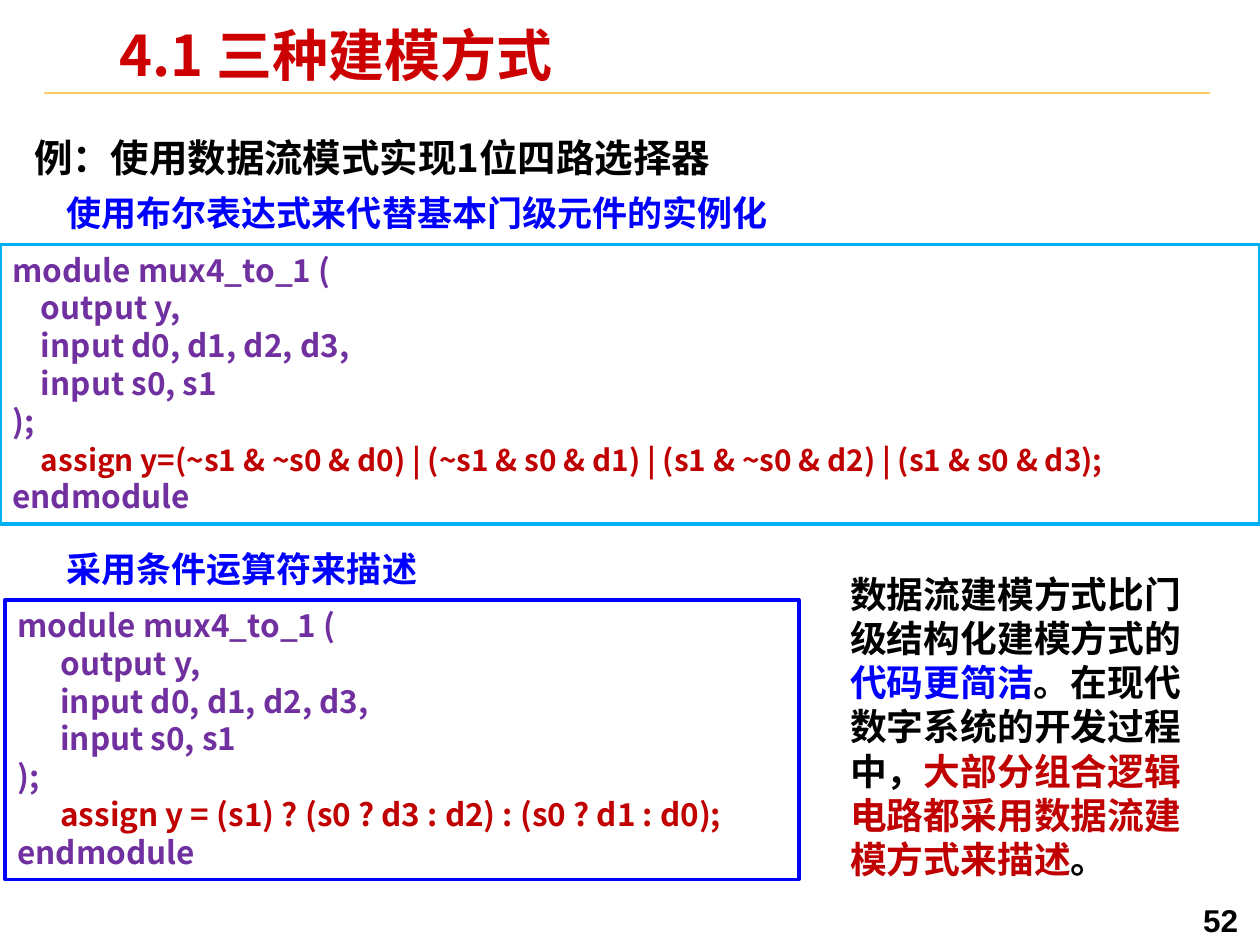
"""Build the slide on three ways of modelling a four-way selector."""
from dataclasses import dataclass

from lxml.etree import SubElement
from pptx import Presentation
from pptx.dml.color import RGBColor
from pptx.enum.shapes import MSO_CONNECTOR, MSO_SHAPE
from pptx.enum.text import MSO_ANCHOR, MSO_AUTO_SIZE, PP_ALIGN
from pptx.oxml.ns import qn
from pptx.util import Inches, Pt

BLACK = RGBColor(0x00, 0x00, 0x00)
WHITE = RGBColor(0xFF, 0xFF, 0xFF)
BLUE = RGBColor(0x00, 0x00, 0xFF)
CYAN = RGBColor(0x00, 0xB0, 0xF0)
GOLD = RGBColor(0xFF, 0xCC, 0x66)
PURPLE = RGBColor(0x70, 0x30, 0xA0)
RED = RGBColor(0xC0, 0x00, 0x00)
TITLE_RED = RGBColor(0xCC, 0x00, 0x00)
SANS = "Noto Sans CJK SC"


@dataclass
class Box:
    left: float
    top: float
    width: float
    height: float

    def lengths(self) -> list:
        return [Inches(n) for n in (self.left, self.top, self.width, self.height)]


@dataclass
class Span:
    text: str
    color: RGBColor | None = None
    size: float | None = None


@dataclass
class Code:
    box: Box
    edge: RGBColor
    indent: str
    assign: str
    size: float


@dataclass
class Label:
    box: Box
    spans: list[Span]
    size: float
    color: RGBColor
    face: str = SANS
    wrap: bool = True


PORTS = ["output y,", "input d0, d1, d2, d3,", "input s0, s1"]
CODES = [
    Code(Box(0, 1.94, 10, 2.22), CYAN, " " * 4,
         "assign y=(~s1 & ~s0 & d0) | (~s1 & s0 & d1) | (s1 & ~s0 & d2) | (s1 & s0 & d3);", 17),
    Code(Box(0.04, 4.76, 6.3, 2.22), BLUE, " " * 6,
         "assign y = (s1) ? (s0 ? d3 : d2) : (s0 ? d1 : d0);", 18),
]
LABELS = [
    Label(Box(0.43, 1.47, 7.56, 0.44),
          [Span("使用布尔表达式来代替基本门级元件的实例化")], 20, BLUE),
    Label(Box(0.43, 4.3, 3.01, 0.44), [Span("采用条件运算符来描述")], 20, BLUE, wrap=False),
    Label(Box(6.65, 4.49, 3.07, 2.57), [
        Span("数据流建模方式比门级结构化建模方式的"),
        Span("代码更简洁", BLUE),
        Span("。在现代数字系统的开发过程中，"),
        Span("大部分组合逻辑电路都采用数据流建模方式来描述", RED),
        Span("。"),
    ], 21, BLACK),
    Label(Box(9.45, 7.1, 0.55, 0.36), [Span("52")], 18, BLACK, "Arial"),
]


def write(para, spans: list[Span], size: float, color: RGBColor, face: str = SANS) -> None:
    para.alignment = PP_ALIGN.LEFT
    font = para.font
    font.size, font.bold, font.name = Pt(size), True, face
    font.color.rgb = color
    base = para._p.pPr.find(qn("a:defRPr"))
    SubElement(base, qn("a:ea")).set("typeface", face)
    for span in spans:
        run = para.add_run()
        run.text = span.text
        if span.color is not None:
            run.font.color.rgb = span.color
        if span.size is not None:
            run.font.size = Pt(span.size)


def fill_holder(shape, box: Box, label: str, size: float, color: RGBColor,
                spacing: float, anchor: MSO_ANCHOR) -> None:
    shape.left, shape.top, shape.width, shape.height = box.lengths()
    frame = shape.text_frame
    frame.auto_size = MSO_AUTO_SIZE.NONE
    frame.vertical_anchor = anchor
    frame.margin_left = frame.margin_right = Inches(0.07)
    frame.margin_top = frame.margin_bottom = Inches(0.03)
    para = frame.paragraphs[0]
    props = para._p.get_or_add_pPr()
    props.set("marL", "0")
    props.set("indent", "0")
    SubElement(props, qn("a:buNone"))
    para.line_spacing = spacing
    para.space_before = Pt(0)
    write(para, [Span(label)], size, color)


def draw_code(slide, code: Code) -> None:
    shape = slide.shapes.add_shape(MSO_SHAPE.RECTANGLE, *code.box.lengths())
    shape.shadow.inherit = False
    shape.fill.solid()
    shape.fill.fore_color.rgb = WHITE
    shape.line.color.rgb = code.edge
    shape.line.width = Pt(2)
    frame = shape.text_frame
    frame.word_wrap = True
    frame.vertical_anchor = MSO_ANCHOR.TOP
    lines = [
        [Span("module mux4_to_1 (")],
        *[[Span(code.indent + port)] for port in PORTS],
        [Span(");")],
        [Span(code.indent), Span(code.assign, RED, code.size)],
        [Span("endmodule")],
    ]
    for num, spans in enumerate(lines):
        para = frame.add_paragraph() if num else frame.paragraphs[0]
        write(para, spans, 18, PURPLE)


def draw_label(slide, label: Label) -> None:
    frame = slide.shapes.add_textbox(*label.box.lengths()).text_frame
    frame.word_wrap = label.wrap
    write(frame.paragraphs[0], label.spans, label.size, label.color, label.face)


def draw_rule(slide) -> None:
    rule = slide.shapes.add_connector(
        MSO_CONNECTOR.STRAIGHT, Inches(0.35), Inches(0.74), Inches(9.6), Inches(0.74))
    rule.line.color.rgb = GOLD
    rule.line.width = Pt(1)
    SubElement(rule._element.spPr, qn("a:effectLst"))


def main() -> None:
    deck = Presentation()
    deck.slide_width, deck.slide_height = Inches(10), Inches(7.5)
    slide = deck.slides.add_slide(deck.slide_layouts[1])
    draw_rule(slide)
    fill_holder(slide.shapes.title, Box(0.88, 0.21, 6.64, 0.52), "4.1 三种建模方式",
                32, TITLE_RED, 0.87, MSO_ANCHOR.MIDDLE)
    fill_holder(slide.placeholders[1], Box(0.2, 0.96, 5.91, 0.6),
                "例：使用数据流模式实现1位四路选择器", 22, BLACK, 1.2, MSO_ANCHOR.TOP)
    for code in CODES:
        draw_code(slide, code)
    for label in LABELS:
        draw_label(slide, label)
    deck.save("out.pptx")


if __name__ == "__main__":
    main()
